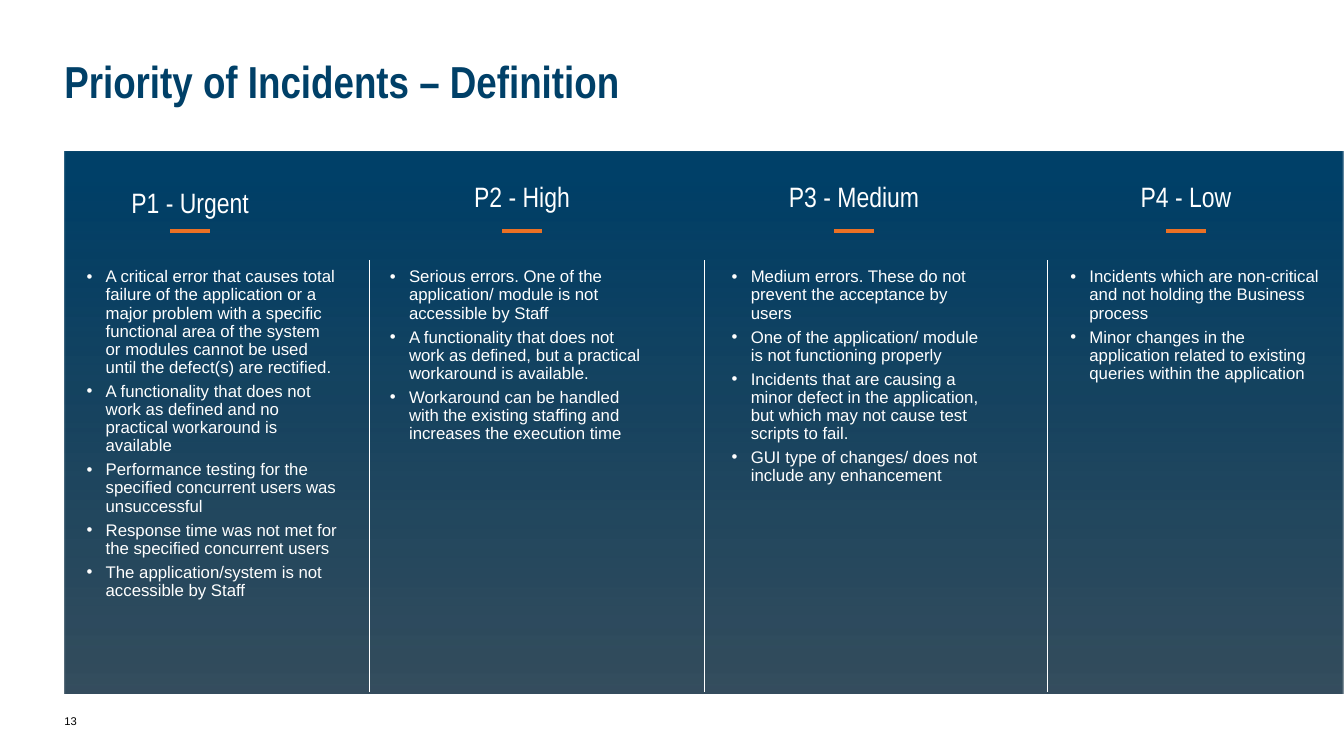
import pptx
import pptx.util
import pptx.dml.color
import pptx.enum.shapes
import pptx.enum.text
import pptx.oxml
import pptx.oxml.ns

Pt = pptx.util.Pt
ALIGN = pptx.enum.text.PP_ALIGN
ANCHOR = pptx.enum.text.MSO_ANCHOR
HEX = {"navy": "004068", "dark": "002034", "orange": "EA7024",
       "white": "FFFFFF", "black": "000000"}

# Heading, heading top, list left, list items
LEVELS = [
    ("P1 - Urgent", 123, 54.7, [
        "A critical error that causes total failure of the application or a major "
        "problem with a specific functional area of the system or modules cannot "
        "be used until the defect(s) are rectified.",
        "A functionality that does not work as defined and no practical workaround "
        "is available",
        "Performance testing for the specified concurrent users was unsuccessful",
        "Response time was not met for the specified concurrent users",
        "The application/system is not accessible by Staff"]),
    ("P2 - High", 114.5, 271.4, [
        "Serious errors. One of the application/ module is not accessible by Staff",
        "A functionality that does not work as defined, but a practical workaround "
        "is available.",
        "Workaround can be handled with the existing staffing and increases the "
        "execution time"]),
    ("P3 - Medium", 114.5, 515.5, [
        "Medium errors. These do not prevent the acceptance by users",
        "One of the application/ module is not functioning properly",
        "Incidents that are causing a minor defect in the application, but which "
        "may not cause test scripts to fail.",
        "GUI type of changes/ does not include any enhancement"]),
    ("P4 - Low", 114.5, 757.4, [
        "Incidents which are non-critical and not holding the Business process",
        "Minor changes in the application related to existing queries within the "
        "application"]),
]
RULES = [263.5, 503.3, 748.1]
HEAD_X, HEAD_W, STEP, HEAD_END = 64.8, 142, 237.1, 165.5
DASH_W, DASH_Y = 28, 165
LIST_Y, INDENT = 185.8, 13.7


def rgb(name):
    return pptx.dml.color.RGBColor.from_string(HEX[name])


def add_tag(parent, tag, **attrs):
    child = pptx.oxml.parse_xml(f"<{tag} {pptx.oxml.ns.nsdecls('a')}/>")
    for key, value in attrs.items():
        child.set(key, value)
    parent.append(child)


def add_text(slide, box, lines, face, size, tint, bold=False, align=ALIGN.LEFT,
             anchor=ANCHOR.MIDDLE, pad=(0, 0, 0, 0)):
    frame = slide.shapes.add_textbox(*map(Pt, box)).text_frame
    frame.word_wrap = True
    frame.vertical_anchor = anchor
    (frame.margin_left, frame.margin_top,
     frame.margin_right, frame.margin_bottom) = map(Pt, pad)
    frame.text = "\n".join(lines)
    for para in frame.paragraphs:
        para.alignment = align
        for run in para.runs:
            run.font.name, run.font.size, run.font.bold = face, Pt(size), bold
            run.font.color.rgb = rgb(tint)
    return frame


def add_list(slide, left, items):
    frame = add_text(slide, (left, LIST_Y, 193.7, 291), items, "Arial", 12, "white",
                     anchor=ANCHOR.TOP, pad=(7.2, 5.8, 7.2, 5.8))
    for para in frame.paragraphs:
        para.line_spacing = 0.9
        para.space_after = Pt(4.2)
        props = para._p.get_or_add_pPr()
        props.set("marL", str(Pt(INDENT)))
        props.set("indent", str(Pt(-INDENT)))
        add_tag(props, "a:buFont", typeface="Arial")
        add_tag(props, "a:buChar", char="•")


def add_line(slide, start, end, tint, width):
    line = slide.shapes.add_connector(pptx.enum.shapes.MSO_CONNECTOR.STRAIGHT,
                                      *map(Pt, start + end))
    line.line.color.rgb = rgb(tint)
    line.line.width = Pt(width)
    add_tag(line._element.spPr, "a:effectLst")


def add_panel(slide):
    panel = slide.shapes.add_shape(pptx.enum.shapes.MSO_SHAPE.RECTANGLE,
                                   Pt(46), Pt(108.5), Pt(914), Pt(387))
    panel.shadow.inherit = False
    panel.line.fill.background()
    panel.fill.gradient()
    panel.fill.gradient_angle = 90
    stops = panel.fill.gradient_stops
    for stop, tint, place in zip(stops, ("dark", "navy"), (0, 0.95)):
        stop.color.rgb = rgb(tint)
        stop.position = place
    # The dark end is slightly see-through
    shade = panel._element.spPr.find(".//" + pptx.oxml.ns.qn("a:srgbClr"))
    add_tag(shade, "a:alpha", val="79000")


def main():
    deck = pptx.Presentation()
    deck.slide_width, deck.slide_height = Pt(960), Pt(540)
    slide = deck.slides.add_slide(deck.slide_layouts[6])

    # Panel, page number and title
    add_panel(slide)
    add_text(slide, (46, 500.4, 216, 28.8), ["13"], "Arial", 8, "black",
             pad=(0, 3.6, 7.2, 3.6))
    add_text(slide, (46, 46, 868, 34.6), ["Priority of Incidents – Definition"],
             "Arial Narrow", 32, "navy", bold=True, anchor=ANCHOR.BOTTOM,
             pad=(0, 3.6, 0, 3.6))

    # Priority columns
    for i, (head, top, left, items) in enumerate(LEVELS):
        x = HEAD_X + i * STEP
        add_text(slide, (x, top, HEAD_W, HEAD_END - top), [head],
                 "Arial Narrow", 20, "white", align=ALIGN.CENTER)
        dash = x + (HEAD_W - DASH_W) / 2
        add_line(slide, (dash, DASH_Y), (dash + DASH_W, DASH_Y), "orange", 3.25)
        add_list(slide, left, items)

    # Dividers
    for x in RULES:
        add_line(slide, (x, LIST_Y), (x, 494), "white", 0.5)

    deck.save("out.pptx")


if __name__ == "__main__":
    main()
